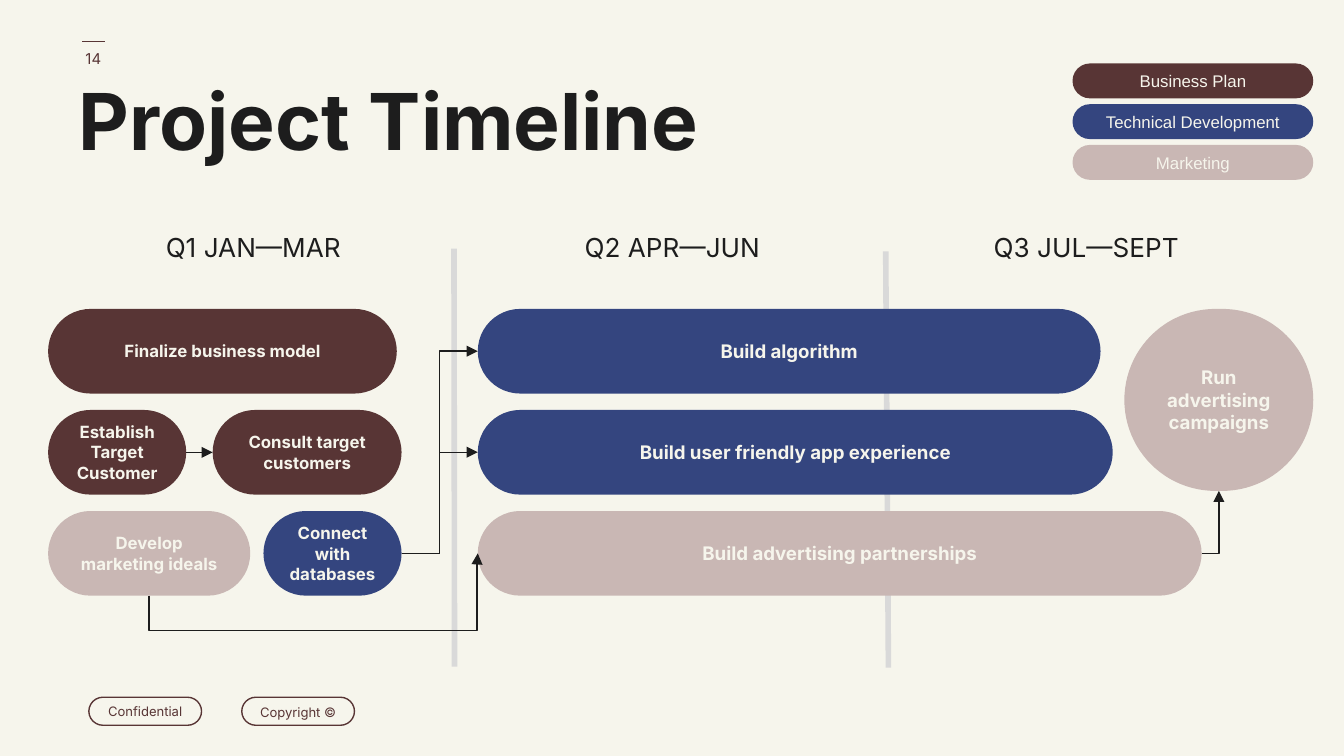
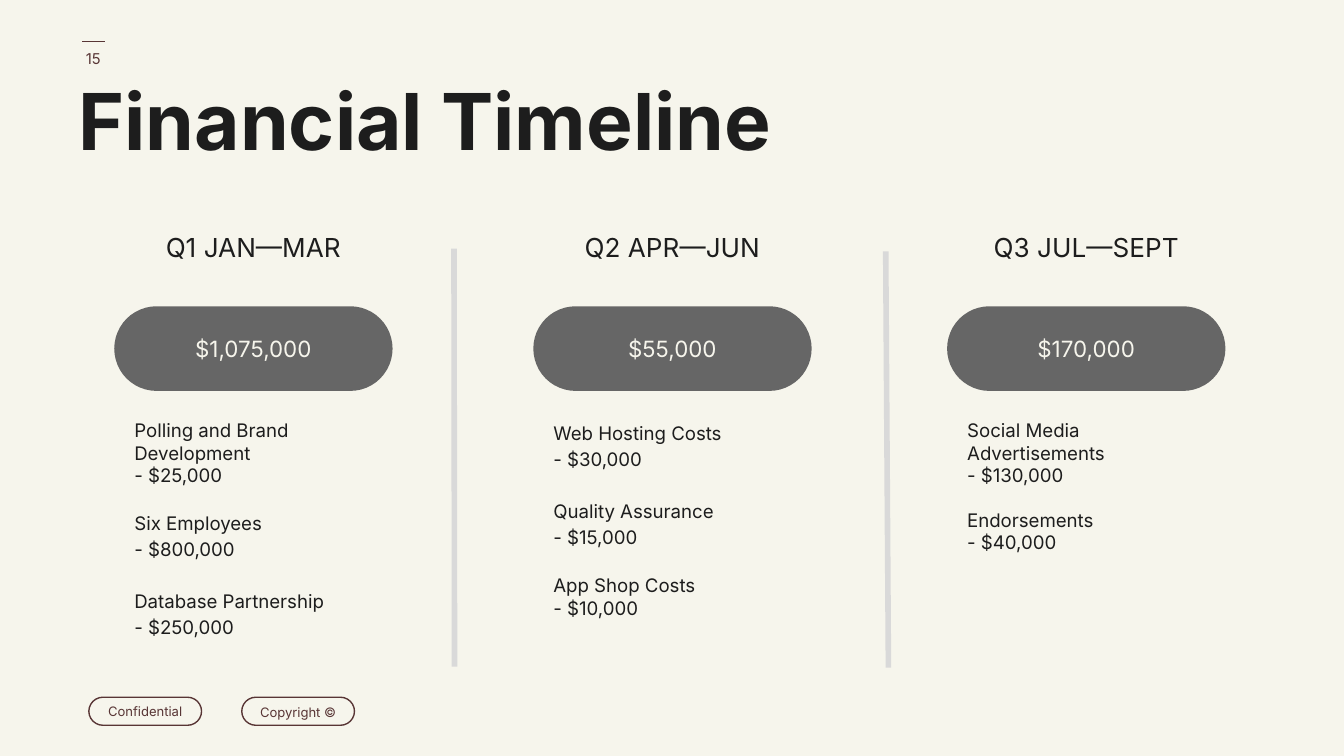
from dataclasses import dataclass

from lxml import etree
from pptx import Presentation
from pptx.dml.color import RGBColor
from pptx.enum.shapes import MSO_CONNECTOR, MSO_SHAPE
from pptx.enum.text import MSO_ANCHOR, PP_ALIGN
from pptx.oxml.ns import qn
from pptx.shapes.autoshape import Shape
from pptx.shapes.connector import Connector
from pptx.slide import Slide
from pptx.text.text import TextFrame, _Paragraph
from pptx.util import Cm, Pt

ROUNDED = MSO_SHAPE.ROUNDED_RECTANGLE
STRAIGHT, ELBOW = MSO_CONNECTOR.STRAIGHT, MSO_CONNECTOR.ELBOW
LEFT, CENTER = PP_ALIGN.LEFT, PP_ALIGN.CENTER
TOP, MIDDLE = MSO_ANCHOR.TOP, MSO_ANCHOR.MIDDLE
LEFT_SIDE, BOTTOM_SIDE, RIGHT_SIDE = 1, 2, 3

COLORS = {
    "cream": "F6F5EC",
    "brown": "583535",
    "blue": "34457F",
    "rose": "C9B7B4",
    "ink": "1D1D1D",
    "divider": "D9D9D9",
    "gray": "666666",
}
BODY_FONT, LEGEND_FONT = "Inter", "Arial"
INSET = Cm(0.25)

QUARTERS = ["Q1 JAN—MAR", "Q2 APR—JUN", "Q3 JUL—SEPT"]
QUARTER_CENTERS = [4.79, 12.71, 20.53]
DIVIDERS = [(8.58, 4.70, 8.59, 12.60), (16.74, 4.75, 16.79, 12.62)]
FOOTERS = [(1.68, "Confidential", 1.0), (4.57, "Copyright ©", 1.15)]
LEGEND = [("Business Plan", "brown"), ("Technical Development", "blue"), ("Marketing", "rose")]

ROW_TOP, ROW_STEP, ROW_HEIGHT = 5.84, 1.91, 1.60


@dataclass(frozen=True)
class Box:
    left: float
    top: float
    width: float
    height: float


@dataclass(frozen=True)
class Style:
    size: float
    color: str = "cream"
    bold: bool = False
    font: str = BODY_FONT
    align: PP_ALIGN = CENTER
    anchor: MSO_ANCHOR = MIDDLE
    spacing: float = 1.0


@dataclass(frozen=True)
class Task:
    key: str
    text: str
    fill: str
    row: int
    left: float
    width: float
    size: int = 9
    height: float = ROW_HEIGHT


@dataclass(frozen=True)
class Cost:
    name: str
    amount: str
    spacing: float = 1.15


@dataclass(frozen=True)
class Budget:
    total: str
    costs: tuple[Cost, ...]


TASKS = [
    Task("campaigns", "Run advertising campaigns", "rose", 0, 21.25, 3.57, 10, 3.44),
    Task("databases", "Connect with databases", "blue", 2, 4.98, 2.61),
    Task("algorithm", "Build algorithm", "blue", 0, 9.03, 11.77, 10),
    Task("app", "Build user friendly app experience", "blue", 1, 9.03, 12.0, 10),
    Task("target", "Establish Target Customer", "brown", 1, 0.91, 2.61),
    Task("consult", "Consult target customers", "brown", 1, 4.02, 3.57),
    Task("model", "Finalize business model", "brown", 0, 0.91, 6.59),
    Task("partners", "Build advertising partnerships", "rose", 2, 9.03, 13.68, 10),
    Task("ideals", "Develop marketing ideals", "rose", 2, 0.91, 3.82),
]

# start task, end task, side reached, connector kind, preset geometry
LINKS = [
    ("databases", "app", LEFT_SIDE, ELBOW, "bentConnector3"),
    ("databases", "algorithm", LEFT_SIDE, ELBOW, "bentConnector3"),
    ("partners", "campaigns", BOTTOM_SIDE, ELBOW, "bentConnector2"),
    ("target", "consult", LEFT_SIDE, STRAIGHT, "line"),
]

BUDGETS = [
    Budget("$1,075,000", (
        Cost("Polling and Brand Development", "- $25,000", 1.0),
        Cost("Six Employees", "- $800,000"),
        Cost("Database Partnership", "- $250,000"),
    )),
    Budget("$55,000", (
        Cost("Web Hosting Costs", "- $30,000"),
        Cost("Quality Assurance", "- $15,000"),
        Cost("App Shop Costs", "- $10,000", 1.0),
    )),
    Budget("$170,000", (
        Cost("Social Media Advertisements", "- $130,000", 1.0),
        Cost("Endorsements", "- $40,000", 1.0),
    )),
]


def rgb(name: str) -> RGBColor:
    return RGBColor.from_string(COLORS[name])


def format_paragraph(para: _Paragraph, style: Style) -> None:
    para.alignment = style.align
    para.line_spacing = style.spacing
    for span in para.runs:
        span.font.name = style.font
        span.font.size = Pt(style.size)
        span.font.bold = style.bold
        span.font.color.rgb = rgb(style.color)


def prepare_frame(frame: TextFrame, anchor: MSO_ANCHOR) -> None:
    frame.word_wrap = True
    frame.vertical_anchor = anchor
    frame.margin_left = frame.margin_right = INSET
    frame.margin_top = frame.margin_bottom = INSET


def write(frame: TextFrame, text: str, style: Style) -> None:
    prepare_frame(frame, style.anchor)
    frame.text = text
    format_paragraph(frame.paragraphs[0], style)


def lengths(box: Box) -> tuple[Cm, Cm, Cm, Cm]:
    return Cm(box.left), Cm(box.top), Cm(box.width), Cm(box.height)


def add_label(slide: Slide, box: Box, text: str, style: Style) -> None:
    write(slide.shapes.add_textbox(*lengths(box)).text_frame, text, style)


def add_pill(slide: Slide, box: Box, text: str, style: Style,
             fill: str | None = None, outline: str | None = None) -> Shape:
    pill = slide.shapes.add_shape(ROUNDED, *lengths(box))
    pill.adjustments[0] = 0.5
    pill.shadow.inherit = False
    if fill:
        pill.fill.solid()
        pill.fill.fore_color.rgb = rgb(fill)
    else:
        pill.fill.background()
    if outline:
        pill.line.color.rgb = rgb(outline)
        pill.line.width = Pt(0.75)
    else:
        pill.line.fill.background()
    write(pill.text_frame, text, style)
    return pill


def style_line(line: Connector, color: str, width: float, arrow: bool = False) -> None:
    line.line.color.rgb = rgb(color)
    line.line.width = Pt(width)
    properties = line._element.spPr
    if arrow:
        etree.SubElement(properties.find(qn("a:ln")), qn("a:tailEnd"), type="triangle")
    etree.SubElement(properties, qn("a:effectLst"))


def add_line(slide: Slide, ends: tuple[float, ...], color: str, width: float) -> None:
    line = slide.shapes.add_connector(STRAIGHT, *(Cm(end) for end in ends))
    style_line(line, color, width)


def link_tasks(slide: Slide, start: Shape, end: Shape, side: int,
               kind: MSO_CONNECTOR, preset: str) -> None:
    link = slide.shapes.add_connector(kind, 0, 0, 0, 0)
    link.begin_connect(start, RIGHT_SIDE)
    link.end_connect(end, side)
    link._element.spPr.find(qn("a:prstGeom")).set("prst", preset)
    style_line(link, "ink", 0.75, arrow=True)


def link_from_below(slide: Slide, start: Shape, end: Shape) -> None:
    """Lead down from the start, across, and up to the left side of the end."""
    start_x, start_y = start.left + start.width // 2, start.top + start.height
    end_x, end_y = end.left, end.top + end.height // 2
    rise, run = start_y - end_y, end_x - start_x
    # The geometry is turned a quarter, so its width is the rise.
    left = (start_x + end_x - rise) // 2
    top = (start_y + end_y - run) // 2
    link = slide.shapes.add_connector(ELBOW, left, top, left + rise, top + run)
    properties = link._element.spPr
    properties.find(qn("a:xfrm")).set("rot", str(270 * 60000))
    geometry = properties.find(qn("a:prstGeom"))
    geometry.set("prst", "bentConnector4")
    guides = geometry.find(qn("a:avLst"))
    if guides is None:
        guides = etree.SubElement(geometry, qn("a:avLst"))
    for name, value in (("adj1", -82900), ("adj2", 99800)):
        etree.SubElement(guides, qn("a:gd"), name=name, fmla=f"val {value}")
    style_line(link, "ink", 0.75, arrow=True)


def centered(center: float, top: float, width: float, height: float) -> Box:
    return Box(center - width / 2, top, width, height)


def add_page(deck: Presentation, number: int, title: str) -> Slide:
    """Add a slide with the title, footers, quarter headings and dividers."""
    page = deck.slides.add_slide(deck.slide_layouts[6])
    page.background.fill.solid()
    page.background.fill.fore_color.rgb = rgb("cream")
    add_line(page, (1.98, 0.79, 1.55, 0.79), "brown", 0.75)
    for left, text, spacing in FOOTERS:
        add_pill(page, Box(left, 13.18, 2.13, 0.53), text,
                 Style(7, "brown", spacing=spacing), outline="brown")
    add_label(page, Box(1.24, 1.45, 16.87, 1.5), title,
              Style(42, "ink", bold=True, align=LEFT, anchor=TOP, spacing=0.8))
    add_label(page, Box(1.17, 0.56, 1.19, 1.09), str(number), Style(8, "brown"))
    for center, quarter in zip(QUARTER_CENTERS, QUARTERS):
        add_pill(page, centered(center, 4.17, 4.8, 0.99), quarter, Style(14, "ink"))
    for ends in DIVIDERS:
        add_line(page, ends, "divider", 3)
    return page


def add_project_timeline(deck: Presentation) -> None:
    page = add_page(deck, 14, "Project Timeline")
    for index, (text, fill) in enumerate(LEGEND):
        add_pill(page, Box(20.27, 1.2 + index * 0.77, 4.55, 0.66), text,
                 Style(9, font=LEGEND_FONT), fill)
    pills = {}
    for task in TASKS:
        box = Box(task.left, ROW_TOP + task.row * ROW_STEP, task.width, task.height)
        pills[task.key] = add_pill(page, box, task.text, Style(task.size, bold=True), task.fill)
    for start, end, side, kind, preset in LINKS:
        link_tasks(page, pills[start], pills[end], side, kind, preset)
    link_from_below(page, pills["ideals"], pills["partners"])


def add_costs(slide: Slide, box: Box, costs: tuple[Cost, ...]) -> None:
    frame = slide.shapes.add_textbox(*lengths(box)).text_frame
    prepare_frame(frame, TOP)
    frame.text = "\n".join(f"{cost.name}\n{cost.amount}" for cost in costs)
    for index, para in enumerate(frame.paragraphs):
        style = Style(10, "ink", align=LEFT, spacing=costs[index // 2].spacing)
        format_paragraph(para, style)
        if index and index % 2 == 0:
            para.space_before = Pt(round(12 * costs[index // 2 - 1].spacing))


def add_financial_timeline(deck: Presentation) -> None:
    page = add_page(deck, 15, "Financial Timeline")
    for center, budget in zip(QUARTER_CENTERS, BUDGETS):
        add_costs(page, centered(center, 7.67, 5.0, 4.78), budget.costs)
        add_pill(page, centered(center, 5.79, 5.26, 1.6), budget.total, Style(12), "gray")


def main() -> None:
    deck = Presentation()
    deck.slide_width, deck.slide_height = Cm(25.4), Cm(14.29)
    add_project_timeline(deck)
    add_financial_timeline(deck)
    deck.save("out.pptx")


if __name__ == "__main__":
    main()
